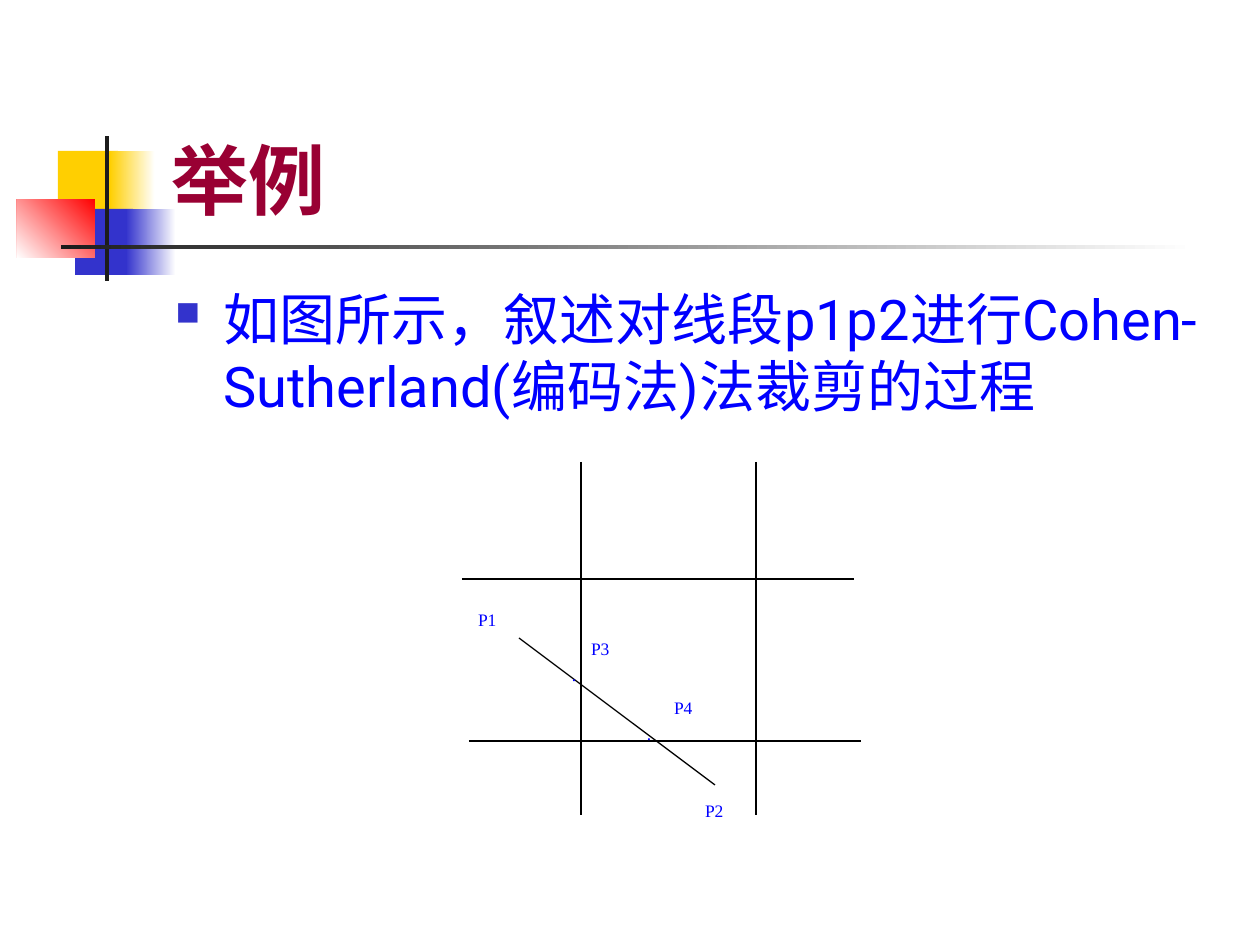
from lxml import etree
from pptx import Presentation
from pptx.dml.color import RGBColor
from pptx.enum.shapes import MSO_CONNECTOR, MSO_SHAPE
from pptx.enum.text import MSO_ANCHOR, PP_ALIGN
from pptx.oxml.ns import qn
from pptx.util import Emu, Pt

PX_PER_INCH = 126
BLUE, INDIGO, YELLOW, RED = "0000FF", "3333CC", "FFCF01", "FF0000"
MAROON, CHARCOAL, BLACK, WHITE = "990033", "1C1C1C", "000000", "FFFFFF"


def px(length):
    return Emu(round(length * 914400 / PX_PER_INCH))


def color(hex_string):
    return RGBColor.from_string(hex_string)


class SlideBuilder:
    heading_font = "Roboto"
    label_font = "Times New Roman"

    def __init__(self, slide):
        self.shapes = slide.shapes

    def rectangle(self, left, top, width, height, fill):
        shape = self.shapes.add_shape(
            MSO_SHAPE.RECTANGLE, px(left), px(top), px(width), px(height))
        shape.shadow.inherit = False
        shape.line.fill.background()
        shape.fill.solid()
        shape.fill.fore_color.rgb = color(fill)
        return shape

    def gradient(self, left, top, width, height, start, end, angle=180):
        """Add a rectangle shaded from start to end, angle counter-clockwise."""
        shape = self.rectangle(left, top, width, height, start)
        shape.fill.gradient()
        shape.fill.gradient_angle = angle
        for stop, shade in zip(shape.fill.gradient_stops, (start, end)):
            stop.color.rgb = color(shade)

    def line(self, x1, y1, x2, y2):
        connector = self.shapes.add_connector(
            MSO_CONNECTOR.STRAIGHT, px(x1), px(y1), px(x2), px(y2))
        connector.line.color.rgb = color(BLACK)
        connector.line.width = Pt(0.75)
        properties = connector._element.spPr
        etree.SubElement(properties, qn("a:effectLst"))

    def text_box(self, left, top, width, height):
        return self.shapes.add_textbox(px(left), px(top), px(width), px(height))

    def set_text(self, box, text, size, font, fill, bold=False):
        frame = box.text_frame
        frame.word_wrap = True
        frame.vertical_anchor = MSO_ANCHOR.TOP
        frame.text = text
        para = frame.paragraphs[0]
        para.alignment = PP_ALIGN.LEFT
        for span in para.runs:
            span.font.name = font
            span.font.size = Pt(size)
            span.font.bold = bold
            span.font.color.rgb = color(fill)
        return para

    def title(self, left, top, width, height, text):
        box = self.text_box(left, top, width, height)
        self.set_text(box, text, 44, self.heading_font, MAROON, bold=True)
        box.text_frame.vertical_anchor = MSO_ANCHOR.BOTTOM

    def bullet(self, left, top, width, height, text, indent=48):
        box = self.text_box(left, top, width, height)
        para = self.set_text(box, text, 32, self.heading_font, BLUE)
        properties = para._p.get_or_add_pPr()
        properties.set("marL", str(px(indent)))
        properties.set("indent", str(-px(indent)))
        bullet_color = etree.SubElement(properties, qn("a:buClr"))
        etree.SubElement(bullet_color, qn("a:srgbClr"), val=INDIGO)
        etree.SubElement(properties, qn("a:buSzPct"), val="60000")
        etree.SubElement(properties, qn("a:buChar"), char="■")

    def label(self, box, text):
        frame = box.text_frame
        frame.margin_left = frame.margin_right = 0
        frame.margin_top = frame.margin_bottom = 0
        para = self.set_text(box, text, 10, self.label_font, BLUE)
        para.alignment = PP_ALIGN.JUSTIFY


def main():
    deck = Presentation()
    deck.slide_width, deck.slide_height = px(1260), px(945)
    builder = SlideBuilder(deck.slides.add_slide(deck.slide_layouts[6]))

    # Corner ornament and title rule
    builder.rectangle(58, 151, 60, 66, YELLOW)
    builder.gradient(110, 151, 45, 66, WHITE, YELLOW)
    builder.rectangle(75, 209, 58, 66, INDIGO)
    builder.gradient(126, 209, 50, 66, WHITE, INDIGO)
    builder.gradient(17, 199, 78, 59, RED, WHITE, angle=225)
    builder.rectangle(105, 136, 4, 145, CHARCOAL)
    builder.gradient(61, 245, 1134, 4, WHITE, CHARCOAL)

    builder.title(159, 29, 1074, 202, "举例")
    builder.bullet(163, 278, 1071, 567,
                   "如图所示，叙述对线段p1p2进行Cohen-Sutherland(编码法)法裁剪的过程")

    # Clipping window and the segment P1P2
    for left, y in ((462, 579), (469, 741)):
        builder.line(left, y, left + 392, y)
    for x in (581, 756):
        builder.line(x, 462, x, 815)
    builder.line(519, 638, 715, 785)

    for name, left, top in (("P1", 478, 609), ("P3", 591, 638),
                            ("P4", 674, 697), ("P2", 705, 800)):
        builder.label(builder.rectangle(left, top, 31, 29, WHITE), name)
    for left, top in ((571, 669), (646, 728)):
        builder.label(builder.text_box(left, top, 20, 29), "·")

    deck.save("out.pptx")


if __name__ == "__main__":
    main()
